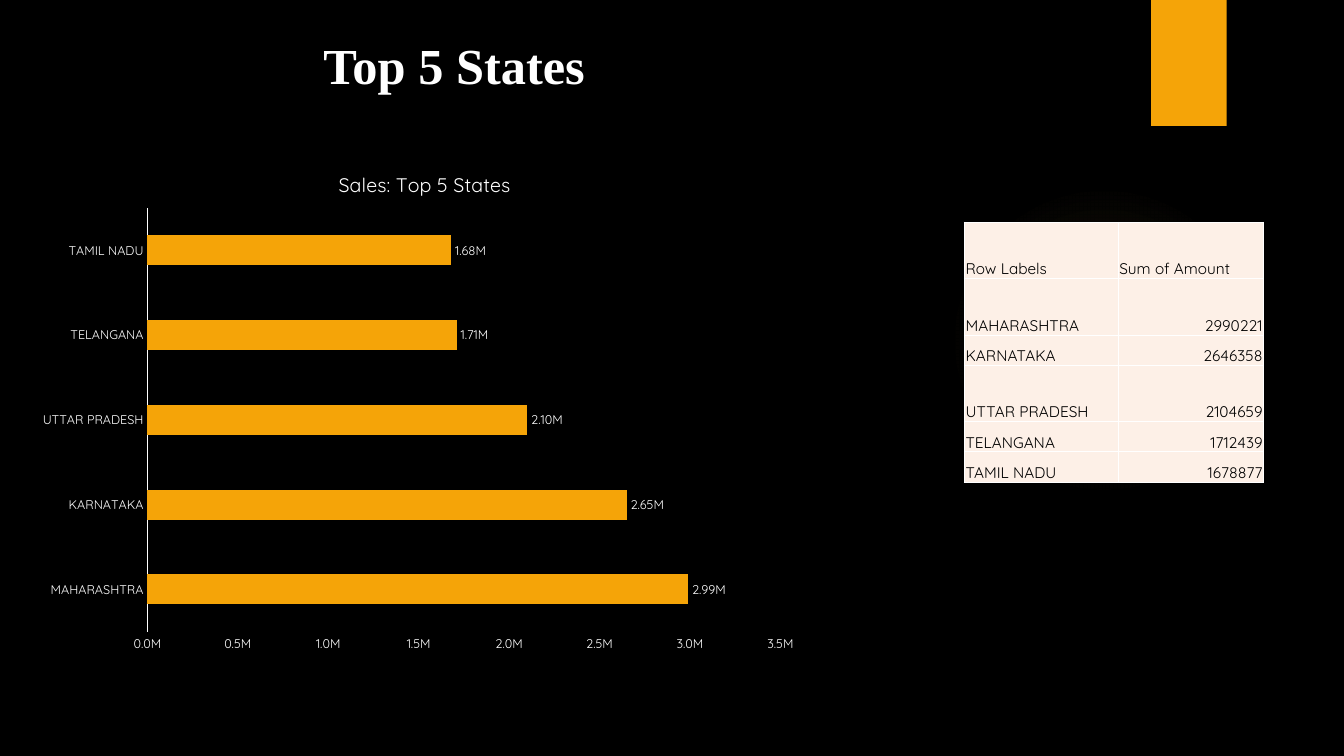
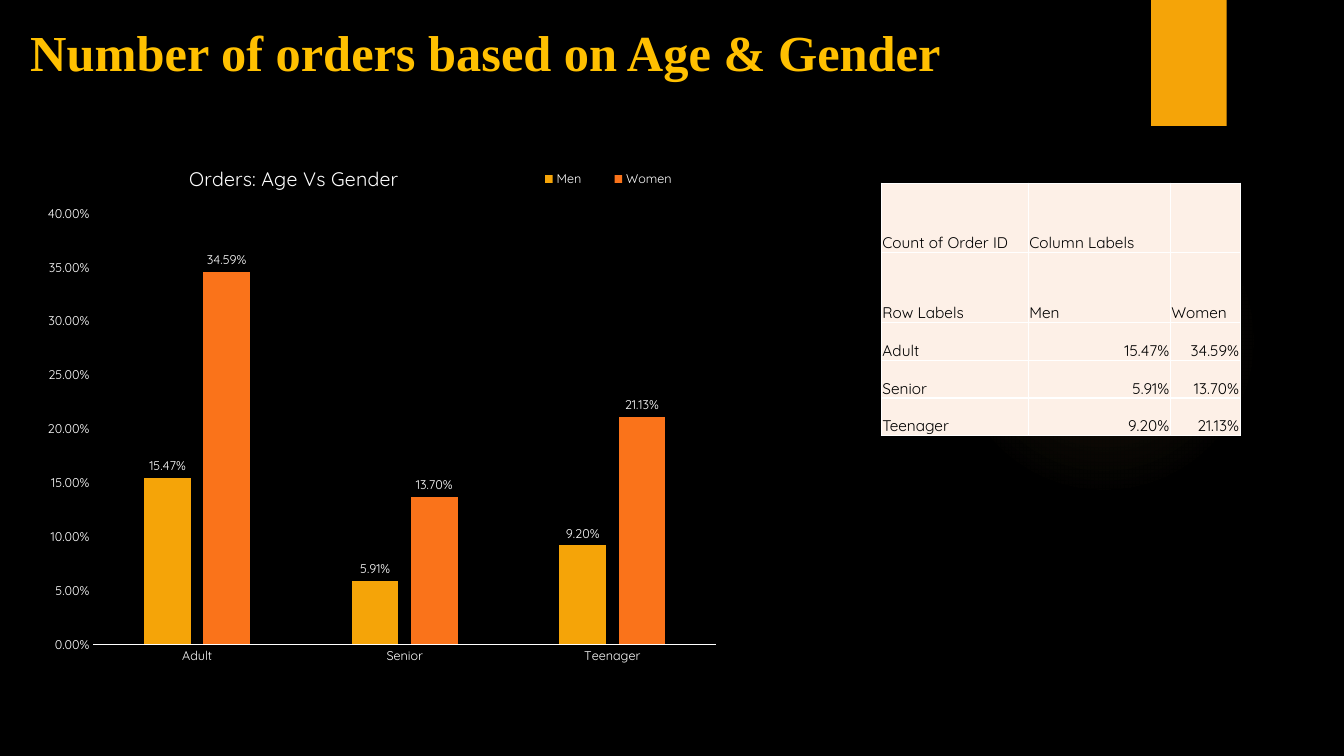
from lxml import etree
from pptx import Presentation
from pptx.chart.data import CategoryChartData
from pptx.dml.color import RGBColor
from pptx.enum.chart import XL_CHART_TYPE, XL_LABEL_POSITION, XL_LEGEND_POSITION, XL_TICK_MARK
from pptx.enum.shapes import MSO_SHAPE
from pptx.enum.text import MSO_ANCHOR, MSO_AUTO_SIZE, PP_ALIGN
from pptx.oxml import parse_xml
from pptx.oxml.ns import nsdecls, qn
from pptx.util import Inches, Pt

BLACK = RGBColor(0x00, 0x00, 0x00)
WHITE = RGBColor(0xFF, 0xFF, 0xFF)
AMBER = RGBColor(0xF5, 0xA4, 0x08)
ORANGE = RGBColor(0xFA, 0x73, 0x1A)
GOLD = RGBColor(0xFF, 0xC0, 0x00)
CREAM = RGBColor(0xFD, 0xF0, 0xE7)
GLOW = RGBColor(0xFA, 0xC9, 0x6A)

HEAD_FONT = "Times New Roman"
BODY_FONT = "Quicksand"

BAR = XL_CHART_TYPE.BAR_CLUSTERED
COLUMN = XL_CHART_TYPE.COLUMN_CLUSTERED
OUTSIDE_END = XL_LABEL_POSITION.OUTSIDE_END
LEGEND_RIGHT = XL_LEGEND_POSITION.RIGHT
NO_TICK = XL_TICK_MARK.NONE
RECTANGLE = MSO_SHAPE.RECTANGLE
OVAL = MSO_SHAPE.OVAL
TOP = MSO_ANCHOR.TOP
BOTTOM = MSO_ANCHOR.BOTTOM
NO_AUTOFIT = MSO_AUTO_SIZE.NONE
LEFT = PP_ALIGN.LEFT
RIGHT = PP_ALIGN.RIGHT

TITLE_ONLY = 5
CELLS_PER_INCH = 12


def grid(*cells):
    return [Inches(c / CELLS_PER_INCH) for c in cells]


def style_font(font, size, color, name=BODY_FONT, bold=False):
    font.size = Pt(size)
    font.name = name
    font.bold = bold
    font.color.rgb = color


def place(element, inner=False, **shares):
    for old in element.findall(qn("c:layout")):
        element.remove(old)
    layout = etree.Element(qn("c:layout"))
    manual = etree.SubElement(layout, qn("c:manualLayout"))
    if inner:
        etree.SubElement(manual, qn("c:layoutTarget")).set("val", "inner")
    for axis in "xy":
        etree.SubElement(manual, qn(f"c:{axis}Mode")).set("val", "edge")
    for key, share in shares.items():
        etree.SubElement(manual, qn(f"c:{key}")).set("val", str(share))
    has_lead = element[0].tag in (qn("c:tx"), qn("c:legendPos"))
    element.insert(1 if has_lead else 0, layout)


class Deck:
    def __init__(self):
        self.prs = Presentation()
        self.prs.slide_width = Inches(13.33)
        self.prs.slide_height = Inches(7.5)
        self.slide = None

    def add_slide(self, title, box, color):
        self.slide = self.prs.slides.add_slide(self.prs.slide_layouts[TITLE_ONLY])
        fill = self.slide.background.fill
        fill.solid()
        fill.fore_color.rgb = BLACK
        self.glow()
        self.shape(RECTANGLE, 137, 0, 9, 15, AMBER)
        self.title(title, box, color)

    def shape(self, kind, x, y, w, h, color):
        sp = self.slide.shapes.add_shape(kind, *grid(x, y, w, h))
        sp.shadow.inherit = False
        sp.fill.solid()
        sp.fill.fore_color.rgb = color
        sp.line.fill.background()
        return sp

    def glow(self):
        sp = self.shape(OVAL, 112.9, 22, 37, 37, GLOW)
        stops = "".join(
            f'<a:gs pos="{pos * 1000}"><a:srgbClr val="{GLOW}">'
            f'<a:alpha val="{alpha * 1000}"/></a:srgbClr></a:gs>'
            for pos, alpha in ((0, 7), (36, 6), (69, 0)))
        gradient = parse_xml(
            f'<a:gradFill {nsdecls("a")}><a:gsLst>{stops}</a:gsLst><a:path path="circle">'
            '<a:fillToRect l="50000" t="50000" r="50000" b="50000"/></a:path></a:gradFill>')
        sp_pr = sp.element.spPr
        sp_pr.replace(sp_pr.find(qn("a:solidFill")), gradient)

    def title(self, text, box, color):
        sp = self.slide.shapes.title
        sp.left, sp.top, sp.width, sp.height = grid(*box)
        tf = sp.text_frame
        tf.text = text
        tf.auto_size = NO_AUTOFIT
        tf.vertical_anchor = TOP
        p = tf.paragraphs[0]
        p.alignment = LEFT
        style_font(p.runs[0].font, 36, color, HEAD_FONT, True)

    def chart(self, kind, box, title, title_at, plot_at, cats, series, top, step,
              axis_format, label_format, gap, overlap=0, legend_at=None):
        data = CategoryChartData()
        data.categories = cats
        for name, values, _ in series:
            data.add_series(name, values)
        chart = self.slide.shapes.add_chart(kind, *grid(*box), data).chart
        style_font(chart.font, 10, WHITE)

        chart.has_title = True
        p = chart.chart_title.text_frame.paragraphs[0]
        p.text = title
        style_font(p.runs[0].font, 14, WHITE)
        place(chart.element.xpath("c:chart/c:title")[0], **title_at)
        place(chart.element.xpath("c:chart/c:plotArea")[0], inner=True, **plot_at)

        chart.has_legend = legend_at is not None
        if legend_at:
            chart.legend.position = LEGEND_RIGHT
            chart.legend.include_in_layout = False
            style_font(chart.legend.font, 9, WHITE)
            place(chart.element.xpath("c:chart/c:legend")[0], **legend_at)

        for axis in (chart.category_axis, chart.value_axis):
            axis.major_tick_mark = axis.minor_tick_mark = NO_TICK
            axis.has_major_gridlines = False
            style_font(axis.tick_labels.font, 9, WHITE)
        line = chart.category_axis.format.line
        line.color.rgb = WHITE
        line.width = Pt(0.75)
        axis = chart.value_axis
        axis.format.line.fill.background()
        axis.minimum_scale, axis.maximum_scale, axis.major_unit = 0, top, step
        axis.tick_labels.number_format = axis_format
        axis.tick_labels.number_format_is_linked = False

        plot = chart.plots[0]
        plot.vary_by_categories = False
        plot.gap_width = gap
        plot.overlap = overlap
        for ser, (_, _, color) in zip(plot.series, series):
            ser.format.fill.solid()
            ser.format.fill.fore_color.rgb = color
            labels = ser.data_labels
            labels.show_value = True
            labels.position = OUTSIDE_END
            labels.number_format = label_format
            labels.number_format_is_linked = False
            style_font(labels.font, 9, WHITE)

    def table(self, x, y, widths, heights, rows):
        frame = self.slide.shapes.add_table(
            len(rows), len(widths), *grid(x, y, sum(widths), sum(heights)))
        table = frame.table
        for col, width in zip(table.columns, grid(*widths)):
            col.width = width
        for row, height, texts in zip(table.rows, grid(*heights), rows):
            row.height = height
            for cell, text in zip(row.cells, texts):
                self.cell(cell, text)

    def cell(self, cell, text):
        cell.fill.solid()
        cell.fill.fore_color.rgb = CREAM
        cell.vertical_anchor = BOTTOM
        cell.margin_left = cell.margin_right = cell.margin_top = Inches(0.01)
        cell.margin_bottom = 0
        cell.text = text
        p = cell.text_frame.paragraphs[0]
        p.alignment = RIGHT if text[:1].isdigit() else LEFT
        style_font(p.runs[0].font if p.runs else p.font, 11, BLACK)
        tc_pr = cell._tc.get_or_add_tcPr()
        for i, side in enumerate("LRTB"):
            tc_pr.insert(i, parse_xml(
                f'<a:ln{side} {nsdecls("a")} w="{Pt(1)}"><a:solidFill>'
                f'<a:srgbClr val="{WHITE}"/></a:solidFill></a:ln{side}>'))


def top_states(deck):
    states = [("MAHARASHTRA", 2990221), ("KARNATAKA", 2646358), ("UTTAR PRADESH", 2104659),
              ("TELANGANA", 1712439), ("TAMIL NADU", 1678877)]
    deck.add_slide("Top 5 States", (37.3, 3.4, 48.2, 8.5), WHITE)
    deck.chart(
        BAR, (3.6, 17.4, 93, 61.5), "Sales: Top 5 States",
        dict(x=0.39, y=0.04), dict(x=0.15, y=0.12, w=0.81, h=0.82),
        [name for name, _ in states],
        [("Series 1", [round(amount, -4) for _, amount in states], AMBER)],
        3500000, 500000, '0.0,,"M"', '0.00,,"M"', 182)
    deck.table(114.8, 26.5, (18.3, 17.3), (6.7, 6.7, 3.6, 6.7, 3.6, 3.6),
               [("Row Labels", "Sum of Amount")]
               + [(name, str(amount)) for name, amount in states])


def orders_by_age_and_gender(deck):
    ages = ["Adult", "Senior", "Teenager"]
    men = [0.1547, 0.0591, 0.092]
    women = [0.3459, 0.137, 0.2113]
    deck.add_slide("Number of orders based on Age & Gender", (2.4, 1.9, 125.9, 7.4), GOLD)
    deck.chart(
        COLUMN, (3.8, 17.2, 91.5, 63.3), "Orders: Age Vs Gender",
        dict(x=0.2, y=0.03), dict(x=0.08, y=0.13, w=0.81, h=0.81),
        ages, [("Men", men, AMBER), ("Women", women, ORANGE)],
        0.4, 0.05, "0.00%", "0.00%", 219, -27,
        dict(x=0.63, y=0.04, w=0.24, h=0.05))
    deck.table(104.9, 21.8, (17.5, 16.9, 8.3), (8.3, 8.3, 4.5, 4.5, 4.5),
               [("Count of Order ID", "Column Labels", ""), ("Row Labels", "Men", "Women")]
               + [(age, f"{m:.2%}", f"{w:.2%}") for age, m, w in zip(ages, men, women)])


def main():
    deck = Deck()
    top_states(deck)
    orders_by_age_and_gender(deck)
    deck.prs.save("out.pptx")


if __name__ == "__main__":
    main()
